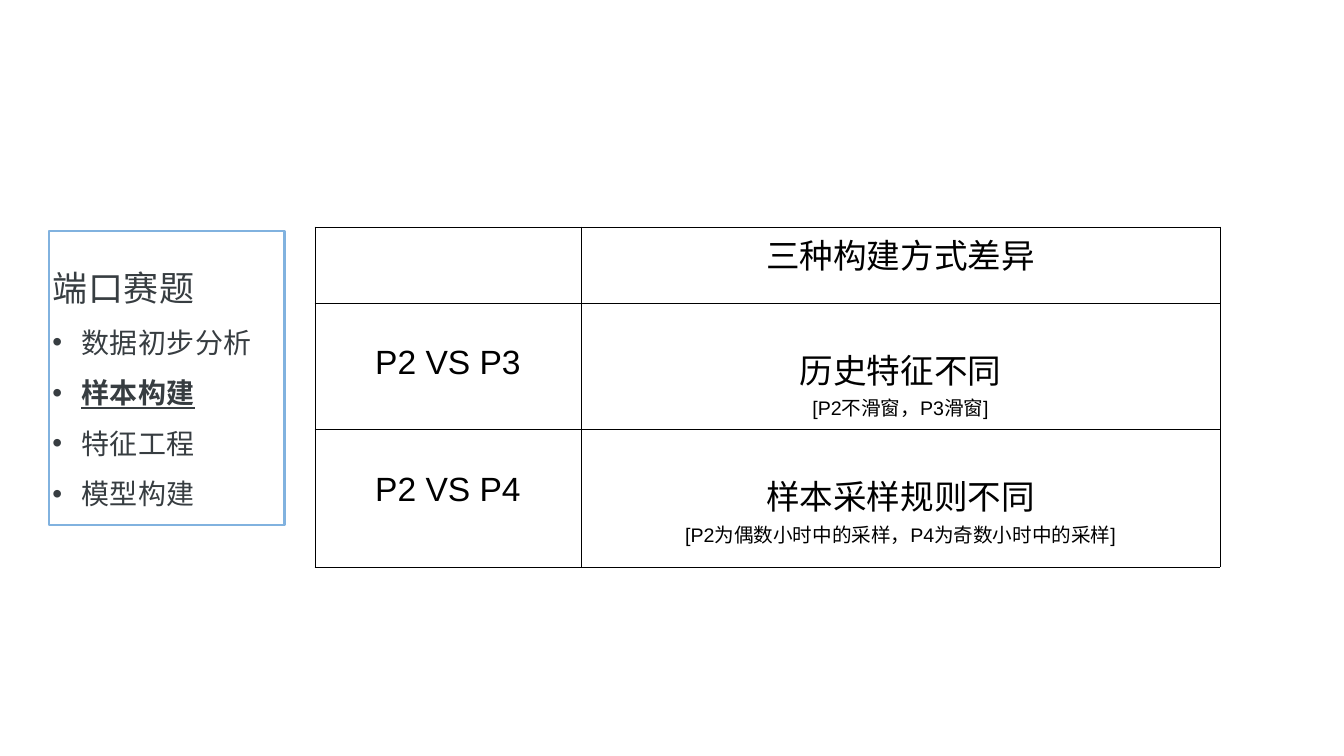
"""Build a slide with a topic list beside a table of sampling differences."""
from lxml.etree import SubElement
from pptx import Presentation
from pptx.dml.color import RGBColor
from pptx.enum.text import MSO_ANCHOR, MSO_AUTO_SIZE, PP_ALIGN
from pptx.oxml.ns import qn
from pptx.util import Pt

BLACK = RGBColor(0, 0, 0)
SLATE = RGBColor(0x37, 0x3D, 0x41)
BLUE = RGBColor(0x81, 0xB2, 0xDF)

HEAD = "端口赛题"
TOPICS = ["数据初步分析", "样本构建", "特征工程", "模型构建"]
ACTIVE = "样本构建"
INDENT = Pt(41)
BIG, SMALL = Pt(48), Pt(28)
INSET, DROP = Pt(3.6), Pt(58.8)
COLS = [380, 913]
ROWS = [
    (109, INSET, [[], [("三种构建方式差异", BIG)]]),
    (181, DROP, [
        [("P2 VS P3", BIG)],
        [("历史特征不同", BIG), ("[P2不滑窗，P3滑窗]", SMALL)],
    ]),
    (196, DROP, [
        [("P2 VS P4", BIG)],
        [("样本采样规则不同", BIG),
         ("[P2为偶数小时中的采样，P4为奇数小时中的采样]", SMALL)],
    ]),
]


def apply(item, style):
    """Set each attribute named in style on item."""
    for name, value in style.items():
        setattr(item, name, value)


def add_run(para, text, color, style):
    """Add one formatted run to a paragraph."""
    run = para.add_run()
    run.text = text
    apply(run.font, style)
    run.font.color.rgb = color
    return run


def get_para(frame, index):
    """Return the first paragraph, or a new one after it."""
    return frame.add_paragraph() if index else frame.paragraphs[0]


def set_bullet(para, shown):
    """Give a paragraph a hanging bullet, or none."""
    props = para._p.get_or_add_pPr()
    left = INDENT if shown else 0
    props.set("marL", str(left))
    props.set("indent", str(-left))
    if shown:
        SubElement(props, qn("a:buFont"), typeface="Arial")
        SubElement(props, qn("a:buChar"), char="•")
    else:
        SubElement(props, qn("a:buNone"))


def fill_list(box):
    """Place the body placeholder and write the heading and topics."""
    apply(box, dict(left=Pt(70.5), top=Pt(327), width=Pt(336), height=Pt(426)))
    box.fill.background()
    box.line.color.rgb = BLUE
    box.line.width = Pt(3)
    frame = box.text_frame
    sides = ("left", "right", "top", "bottom")
    apply(frame, {f"margin_{side}": Pt(4.3) for side in sides})
    apply(frame, dict(word_wrap=True, vertical_anchor=MSO_ANCHOR.MIDDLE,
                      auto_size=MSO_AUTO_SIZE.SHAPE_TO_FIT_TEXT))
    for index, text in enumerate([HEAD] + TOPICS):
        para = get_para(frame, index)
        apply(para, dict(line_spacing=1.5, space_before=Pt(0),
                         alignment=PP_ALIGN.LEFT))
        set_bullet(para, index > 0)
        active = text == ACTIVE
        style = dict(name="Calibri", size=Pt(40 if index else 50),
                     bold=active, underline=active)
        run = add_run(para, text, SLATE, style)
        run.font._element.set("spc", "80" if index else "100")


def add_edges(cell):
    """Draw a thin black border on all four sides of a cell."""
    props = cell._tc.get_or_add_tcPr()
    for side in "LRTB":
        edge = SubElement(props, qn(f"a:ln{side}"), w=str(Pt(1)))
        fill = SubElement(edge, qn("a:solidFill"))
        SubElement(fill, qn("a:srgbClr"), val=str(BLACK))


def fill_cell(cell, lines, top):
    """Format a cell and write its centred lines."""
    add_edges(cell)
    cell.fill.background()
    apply(cell, dict(margin_left=INSET, margin_right=INSET,
                     margin_top=top, margin_bottom=INSET))
    for index, (text, size) in enumerate(lines):
        para = get_para(cell.text_frame, index)
        para.alignment = PP_ALIGN.CENTER
        add_run(para, text, BLACK, dict(name="Arial", size=size, bold=False))


def add_grid(slide):
    """Add the table of differences."""
    high = sum(row[0] for row in ROWS)
    frame = slide.shapes.add_table(len(ROWS), len(COLS), Pt(450), Pt(324),
                                   Pt(sum(COLS)), Pt(high))
    table = frame.table
    apply(table, dict(first_row=False, horz_banding=False))
    for col, width in zip(table.columns, COLS):
        col.width = Pt(width)
    for row, (height, top, cells) in zip(table.rows, ROWS):
        row.height = Pt(height)
        for cell, lines in zip(row.cells, cells):
            fill_cell(cell, lines, top)


def main():
    """Build and save the slide."""
    deck = Presentation()
    apply(deck, dict(slide_width=Pt(1920), slide_height=Pt(1080)))
    slide = deck.slides.add_slide(deck.slide_layouts[1])
    title = slide.shapes.title.element
    title.getparent().remove(title)
    fill_list(slide.placeholders[1])
    add_grid(slide)
    deck.save("out.pptx")


if __name__ == "__main__":
    main()
